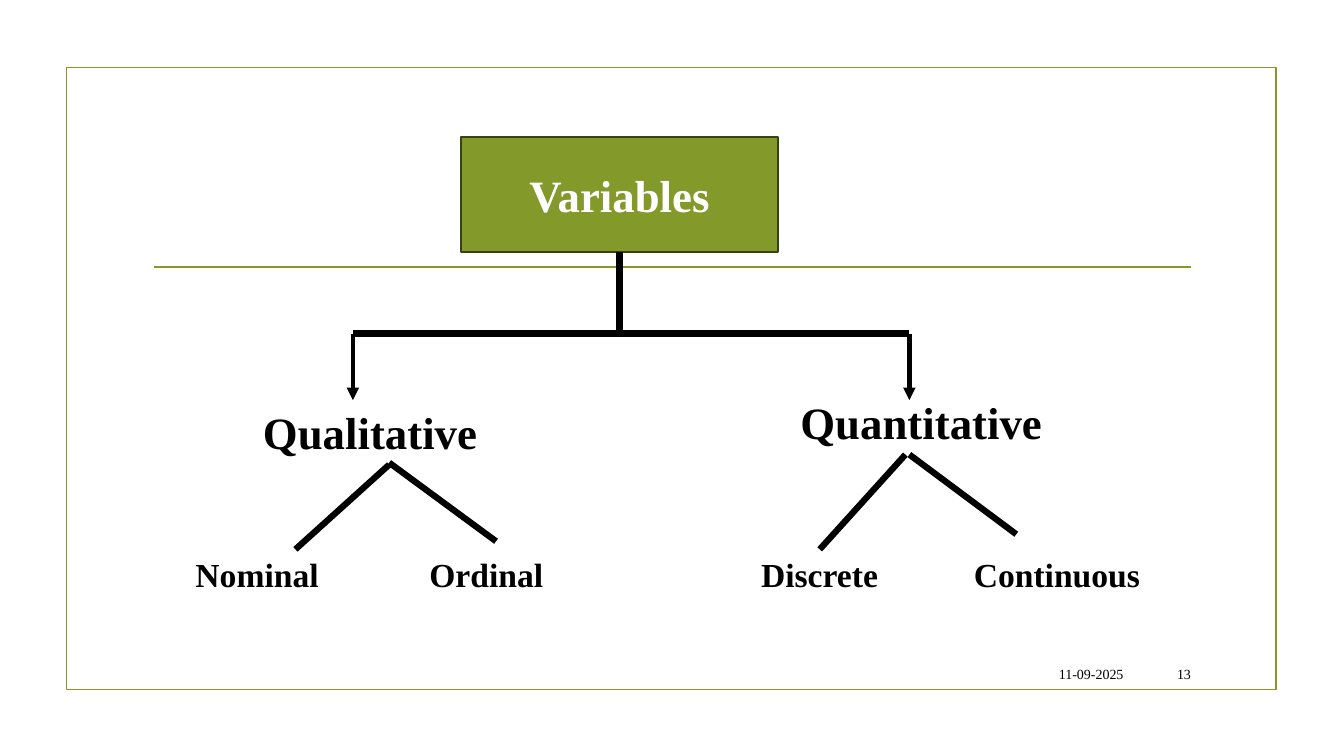
from dataclasses import dataclass

from lxml.etree import SubElement
from pptx import Presentation
from pptx.dml.color import RGBColor
from pptx.enum.shapes import MSO_CONNECTOR, MSO_SHAPE
from pptx.enum.text import MSO_ANCHOR, PP_ALIGN
from pptx.oxml.ns import qn
from pptx.util import Inches, Pt


@dataclass(frozen=True)
class Theme:
    font: str = "Times New Roman"
    green: str = "83992A"
    dark_green: str = "394312"
    black: str = "000000"
    white: str = "FFFFFF"
    heading: int = 32
    leaf: int = 24
    footer: int = 10
    thin: float = 1.25
    arrow: float = 3
    thick: float = 4.5


T = Theme()
W, H = 13.33, 7.5
FRAME = (0.66, 0.67, 12, 6.17)
RULE_Y, RULE_X = 2.65, (1.53, 11.81)

ROOT = ("Variables", (4.57, 1.36, 3.15, 1.14))
BAR_Y, ARROW_Y, LEAF_Y = 3.31, 3.97, 5.45
BRANCH_W, BRANCH_H, LEAF_H = 2.7, 0.64, 0.5

# Each branch: name, left, top, arrow x, and its leaves.
# Each leaf: name, left, width, start and end of its line.
BRANCHES = [
    ("Qualitative", 2.51, 3.97, 3.5, [
        ("Nominal", 1.84, 1.47, (3.86, 4.61), (2.93, 5.45)),
        ("Ordinal", 4.16, 1.34, (3.86, 4.59), (4.92, 5.37)),
    ]),
    ("Quantitative", 7.84, 3.87, 9.02, [
        ("Discrete", 7.45, 1.37, (8.98, 4.51), (8.13, 5.45)),
        ("Continuous", 9.56, 1.87, (9.02, 4.51), (10.08, 5.3)),
    ]),
]
FOOTER_Y, FOOTER_H = 6.53, 0.31
FOOTER = [("11-09-2025", 9.49, 1.75), ("13", 11.32, 0.59)]


def rgb(color):
    return RGBColor.from_string(color)


def write(shape, text, size, color=T.black, bold=True, align=PP_ALIGN.LEFT,
          anchor=MSO_ANCHOR.TOP, wrap=True):
    tf = shape.text_frame
    tf.word_wrap = wrap
    tf.vertical_anchor = anchor
    p = tf.paragraphs[0]
    p.text = text
    p.alignment = align
    p.font.name, p.font.size, p.font.bold = T.font, Pt(size), bold
    p.font.color.rgb = rgb(color)


def add_text(s, text, box, size, **style):
    write(s.shapes.add_textbox(*map(Inches, box)), text, size, **style)


def add_box(s, box, line, fill=None):
    sp = s.shapes.add_shape(MSO_SHAPE.RECTANGLE, *map(Inches, box))
    sp.shadow.inherit = False
    if fill:
        sp.fill.solid()
        sp.fill.fore_color.rgb = rgb(fill)
    else:
        sp.fill.background()
    sp.line.color.rgb = rgb(line)
    sp.line.width = Pt(T.thin)
    return sp


def add_line(s, start, end, width=T.thick, color=T.black, arrow=False):
    c = s.shapes.add_connector(MSO_CONNECTOR.STRAIGHT,
                               *map(Inches, (*start, *end)))
    c.line.color.rgb = rgb(color)
    c.line.width = Pt(width)
    if arrow:
        SubElement(c.line._get_or_add_ln(), qn("a:tailEnd"), type="triangle")
    SubElement(c._element.spPr, qn("a:effectLst"))


def draw_tree(s):
    name, box = ROOT
    left, top, width, height = box
    root = add_box(s, box, T.dark_green, T.green)
    write(root, name, T.heading, T.white, align=PP_ALIGN.CENTER,
          anchor=MSO_ANCHOR.MIDDLE)

    middle = left + width / 2
    add_line(s, (middle, top + height), (middle, BAR_Y))
    arrow_xs = [branch[3] for branch in BRANCHES]
    add_line(s, (arrow_xs[0], BAR_Y), (arrow_xs[-1], BAR_Y))

    for name, x, y, arrow_x, leaves in BRANCHES:
        add_line(s, (arrow_x, BAR_Y), (arrow_x, ARROW_Y), T.arrow, arrow=True)
        add_text(s, name, (x, y, BRANCH_W, BRANCH_H), T.heading)
        for leaf, leaf_x, leaf_w, start, end in leaves:
            add_line(s, start, end)
            add_text(s, leaf, (leaf_x, LEAF_Y, leaf_w, LEAF_H), T.leaf,
                     wrap=False)


def main():
    prs = Presentation()
    prs.slide_width, prs.slide_height = Inches(W), Inches(H)
    s = prs.slides.add_slide(prs.slide_layouts[6])
    add_box(s, FRAME, T.green)
    add_line(s, *[(x, RULE_Y) for x in RULE_X], T.thin, T.green)
    draw_tree(s)
    for text, x, width in FOOTER:
        add_text(s, text, (x, FOOTER_Y, width, FOOTER_H), T.footer,
                 bold=False, align=PP_ALIGN.RIGHT, anchor=MSO_ANCHOR.MIDDLE)
    prs.save("out.pptx")


if __name__ == "__main__":
    main()
